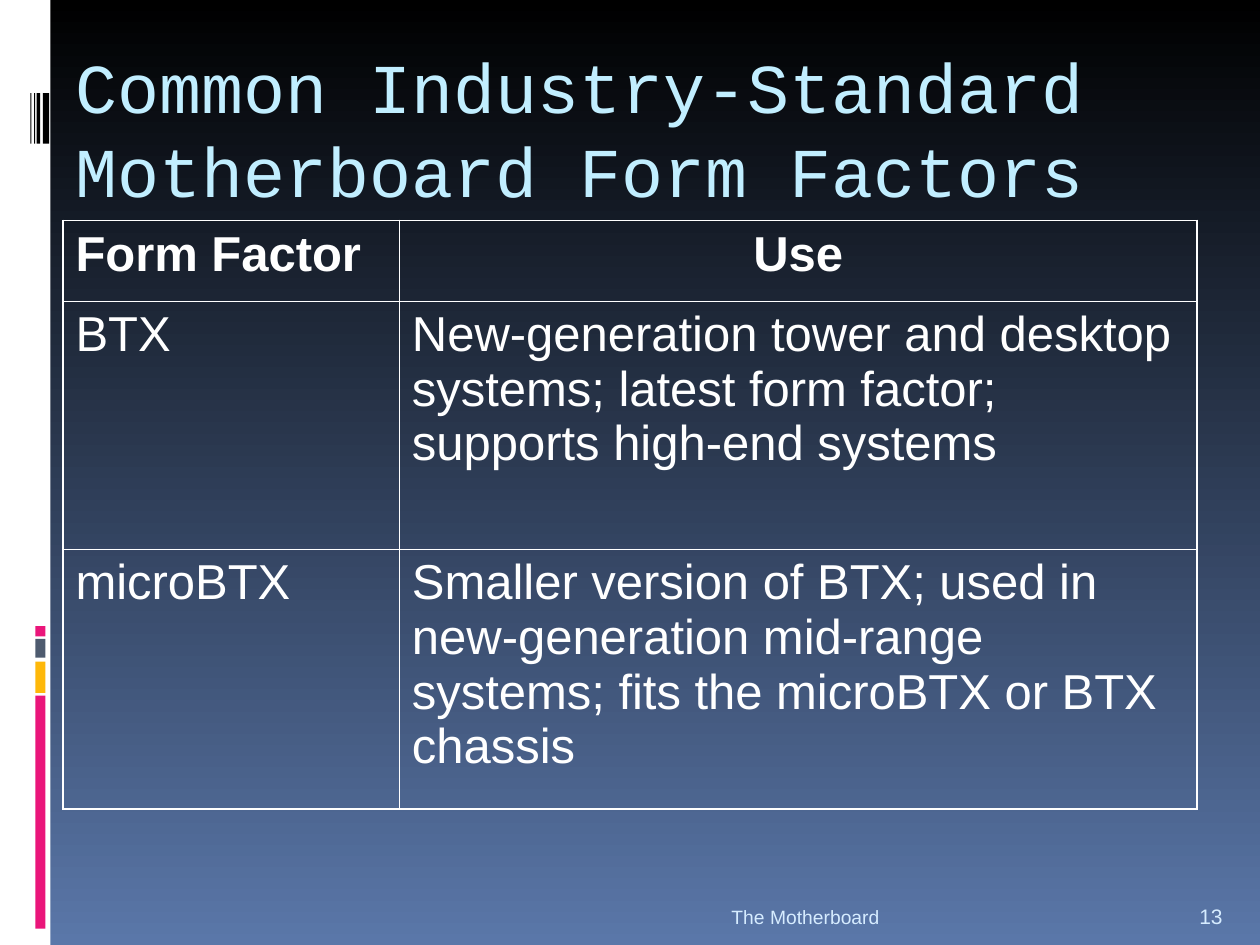
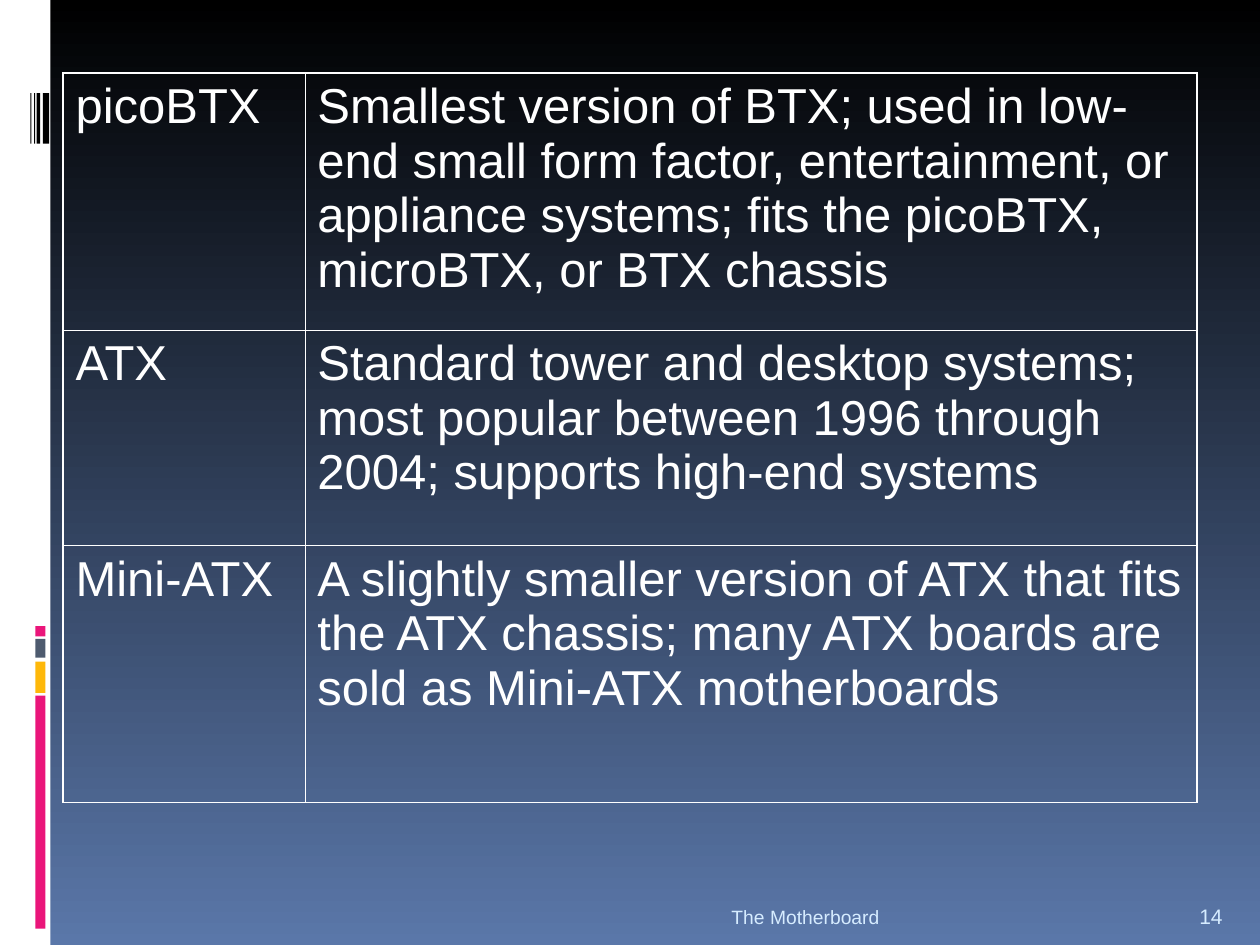
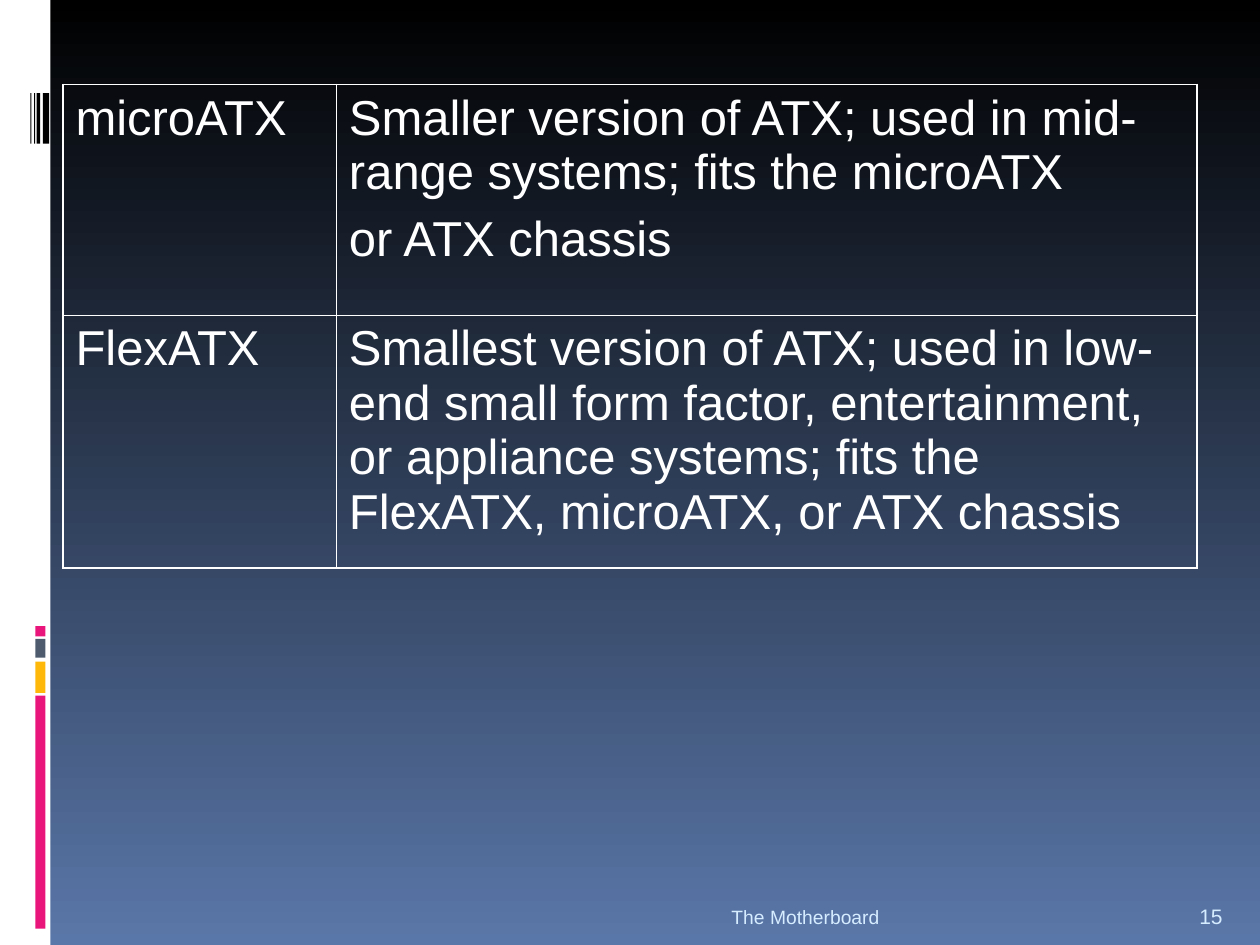
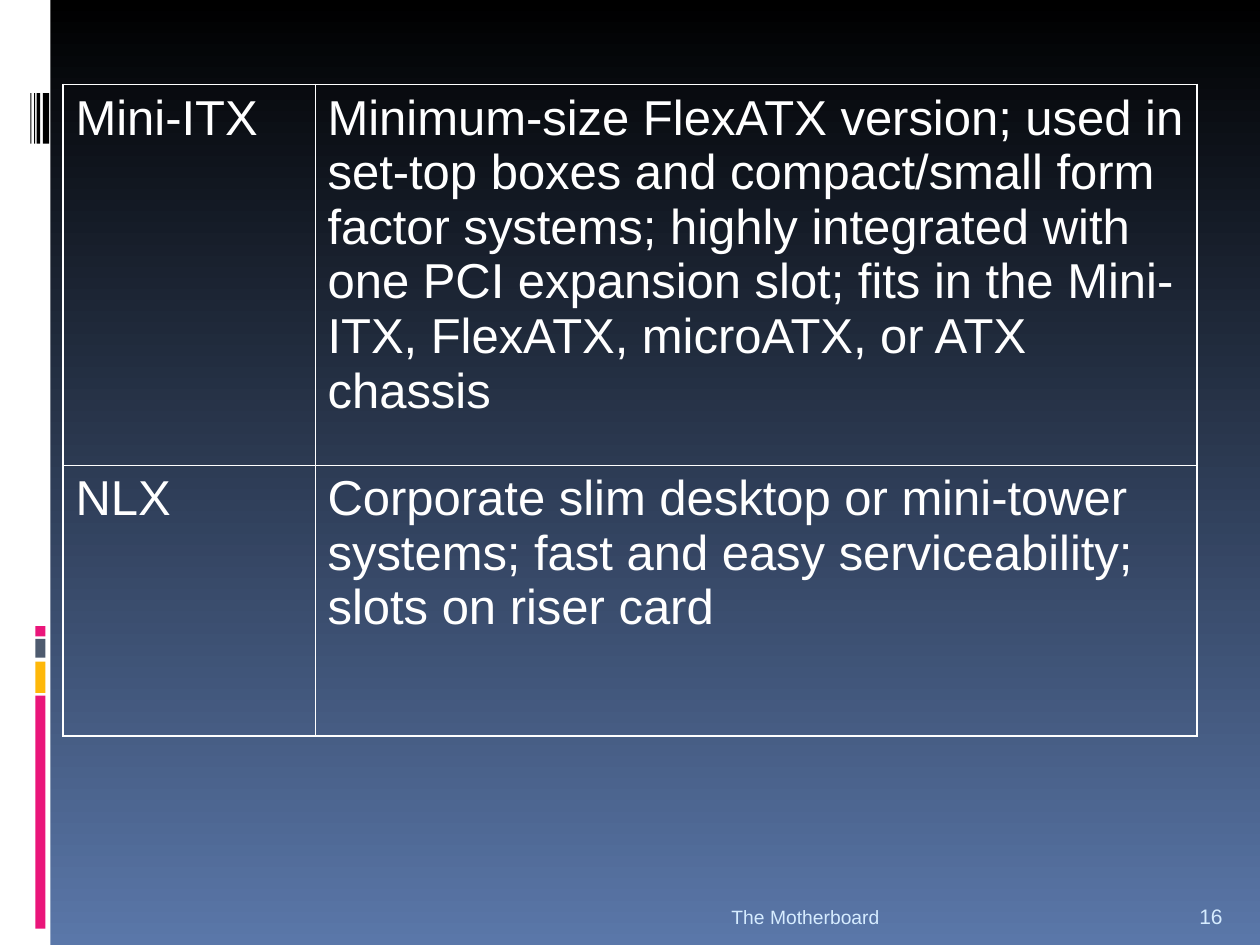
from dataclasses import dataclass

from lxml import etree
from pptx import Presentation
from pptx import util as u
from pptx.dml.color import RGBColor
from pptx.enum import shapes, text
from pptx.oxml import ns

COLUMNS, ROWS = 100, 75  # slide grid with square cells
CELL = u.Inches(0.1)
FIRST_NUMBER = 13


@dataclass(frozen=True)
class Theme:
    sky_top: str = "000000"
    sky_bottom: str = "5A77A9"
    white: str = "FFFFFF"
    black: str = "000000"
    pink: str = "EA157A"
    gold: str = "FEB80A"
    slate: str = "4E5B6F"
    title: str = "C1EEFF"
    footer: str = "D6ECFF"
    title_font: str = "Courier New"
    body_font: str = "Arial"
    title_size: float = 40
    body_size: float = 28
    footer_size: float = 11
    number_size: float = 12
    paragraph_gap: float = 7
    outer_line: float = 1.08
    inner_line: float = 0.45


THEME = Theme()


@dataclass(frozen=True)
class Box:
    """An area in grid columns and rows."""
    left: float
    top: float
    width: float
    height: float

    def emu(self):
        return [round(n * CELL) for n in (self.left, self.top, self.width, self.height)]

    def inner(self, left, top, width, height):
        return Box(self.left + left, self.top + top, width, height)


PAGE = Box(0, 0, COLUMNS, ROWS)
RAIL = Box(0, 0, 4, ROWS)
TITLE = Box(5, 3, 90, 12.5)
FOOTER = Box(10, 70.2, 89.2, 4)

# Rail marks: left, top, width, height, colour
RAIL_BLOCKS = [(2.8, top, 0.8, height, colour) for top, height, colour in (
    (55.2, 18.5, THEME.pink), (52.5, 2.5, THEME.gold),
    (50.7, 1.5, THEME.slate), (49.7, 0.8, THEME.pink))]
BARCODE = [(left, 7.4, width, 4, THEME.black) for left, width in (
    (3.4, 0.5), (2.9, 0.3), (2.7, 0.1), (2.4, 0.1))]

# Each slide: title, table top, width of first column, row heights, cell texts
SLIDES = [
    ("Common Industry-Standard Motherboard Form Factors", 17.5, 26.7, [6.4, 19.7, 20.6], [
        ("Form Factor", "Use"),
        ("BTX", "New-generation tower and desktop systems; latest form factor; "
                "supports high-end systems"),
        ("microBTX", "Smaller version of BTX; used in new-generation mid-range "
                     "systems; fits the microBTX or BTX chassis")]),
    (None, 5.8, 19.2, [20.4, 17.1, 20.4], [
        ("picoBTX", "Smallest version of BTX; used in low-end small form factor, "
                    "entertainment, or appliance systems; fits the picoBTX, "
                    "microBTX, or BTX chassis"),
        ("ATX", "Standard tower and desktop systems; most popular between 1996 "
                "through 2004; supports high-end systems"),
        ("Mini-ATX", "A slightly smaller version of ATX that fits the ATX chassis; "
                     "many ATX boards are sold as Mini-ATX motherboards")]),
    (None, 6.7, 21.7, [18.3, 20.1], [
        ("microATX", "Smaller version of ATX; used in mid-range systems; fits the "
                     "microATX\nor ATX chassis"),
        ("FlexATX", "Smallest version of ATX; used in low-end small form factor, "
                    "entertainment, or appliance systems; fits the FlexATX, "
                    "microATX, or ATX chassis")]),
    (None, 6.7, 20, [30.2, 21.5], [
        ("Mini-ITX", "Minimum-size FlexATX version; used in set-top boxes and "
                     "compact/small form factor systems; highly integrated with one "
                     "PCI expansion slot; fits in the Mini-ITX, FlexATX, microATX, "
                     "or ATX chassis"),
        ("NLX", "Corporate slim desktop or mini-tower systems; fast and easy "
                "serviceability; slots on riser card")]),
]


def write(frame, words, font, size, colour, bold=False, align=text.PP_ALIGN.LEFT):
    frame.text = words
    for index, para in enumerate(frame.paragraphs):
        para.alignment = align
        if index:
            para.space_before = u.Pt(THEME.paragraph_gap)
        for span in para.runs:
            span.font.name = font
            span.font.size = u.Pt(size)
            span.font.bold = bold
            span.font.color.rgb = RGBColor.from_string(colour)


def add_text(page, box, words, font, size, colour,
             align=text.PP_ALIGN.LEFT, anchor=text.MSO_ANCHOR.BOTTOM):
    frame = page.shapes.add_textbox(*box.emu()).text_frame
    frame.word_wrap = True
    frame.vertical_anchor = anchor
    write(frame, words, font, size, colour, align=align)


def add_block(page, box, colour):
    block = page.shapes.add_shape(shapes.MSO_SHAPE.RECTANGLE, *box.emu())
    block.shadow.inherit = False
    block.fill.solid()
    block.fill.fore_color.rgb = RGBColor.from_string(colour)
    block.line.fill.background()


def paint_background(master):
    fill = master.background.fill
    fill.gradient()
    fill.gradient_angle = 270
    for stop, colour in zip(fill.gradient_stops, (THEME.sky_top, THEME.sky_bottom)):
        stop.color.rgb = RGBColor.from_string(colour)


def add_rail(page, box):
    add_block(page, box, THEME.white)
    for *place, colour in RAIL_BLOCKS + BARCODE:
        add_block(page, box.inner(*place), colour)


def add_title(page, box, words):
    add_text(page, box, words, THEME.title_font, THEME.title_size, THEME.title,
             anchor=text.MSO_ANCHOR.TOP)


def add_footer(page, box, number):
    add_text(page, box.inner(0, 0, 60.8, box.height), "The Motherboard", THEME.body_font,
             THEME.footer_size, THEME.footer, align=text.PP_ALIGN.RIGHT)
    add_text(page, box.inner(84.2, 0, 5, box.height), str(number), THEME.body_font,
             THEME.number_size, THEME.footer)


def set_borders(cell, outer_sides):
    """Draw thick lines on the table's outer sides and thin ones elsewhere."""
    properties = cell._tc.get_or_add_tcPr()
    for side, is_outer in zip("LRTB", outer_sides):
        width = THEME.outer_line if is_outer else THEME.inner_line
        line = etree.SubElement(properties, ns.qn(f"a:ln{side}"), w=str(u.Pt(width)))
        fill = etree.SubElement(line, ns.qn("a:solidFill"))
        etree.SubElement(fill, ns.qn("a:srgbClr"), val=THEME.white)


def add_form_factors(page, box, first_column, heights, rows, has_header):
    widths = [first_column, box.width - first_column]
    table = page.shapes.add_table(len(rows), len(widths), *box.emu()).table
    table.first_row = table.horz_banding = False
    for column, width in zip(table.columns, widths):
        column.width = round(width * CELL)
    for r, (height, words) in enumerate(zip(heights, rows)):
        table.rows[r].height = round(height * CELL)
        for c, entry in enumerate(words):
            cell = table.cell(r, c)
            is_header = has_header and r == 0
            centred = is_header and c == 1
            set_borders(cell, (c == 0, c == len(widths) - 1, r == 0, r == len(rows) - 1))
            cell.fill.background()
            write(cell.text_frame, entry, THEME.body_font, THEME.body_size, THEME.white,
                  is_header, text.PP_ALIGN.CENTER if centred else text.PP_ALIGN.LEFT)


def add_page(deck, number, title, top, first_column, heights, rows):
    page = deck.slides.add_slide(deck.slide_layouts[6])
    add_rail(page, RAIL)
    if title:
        add_title(page, TITLE, title)
    table_box = PAGE.inner(TITLE.left, top, TITLE.width, sum(heights))
    add_form_factors(page, table_box, first_column, heights, rows, bool(title))
    add_footer(page, FOOTER, number)


def main():
    deck = Presentation()
    deck.slide_width, deck.slide_height = COLUMNS * CELL, ROWS * CELL
    paint_background(deck.slide_master)
    for number, content in enumerate(SLIDES, FIRST_NUMBER):
        add_page(deck, number, *content)
    deck.save("out.pptx")


if __name__ == "__main__":
    main()
